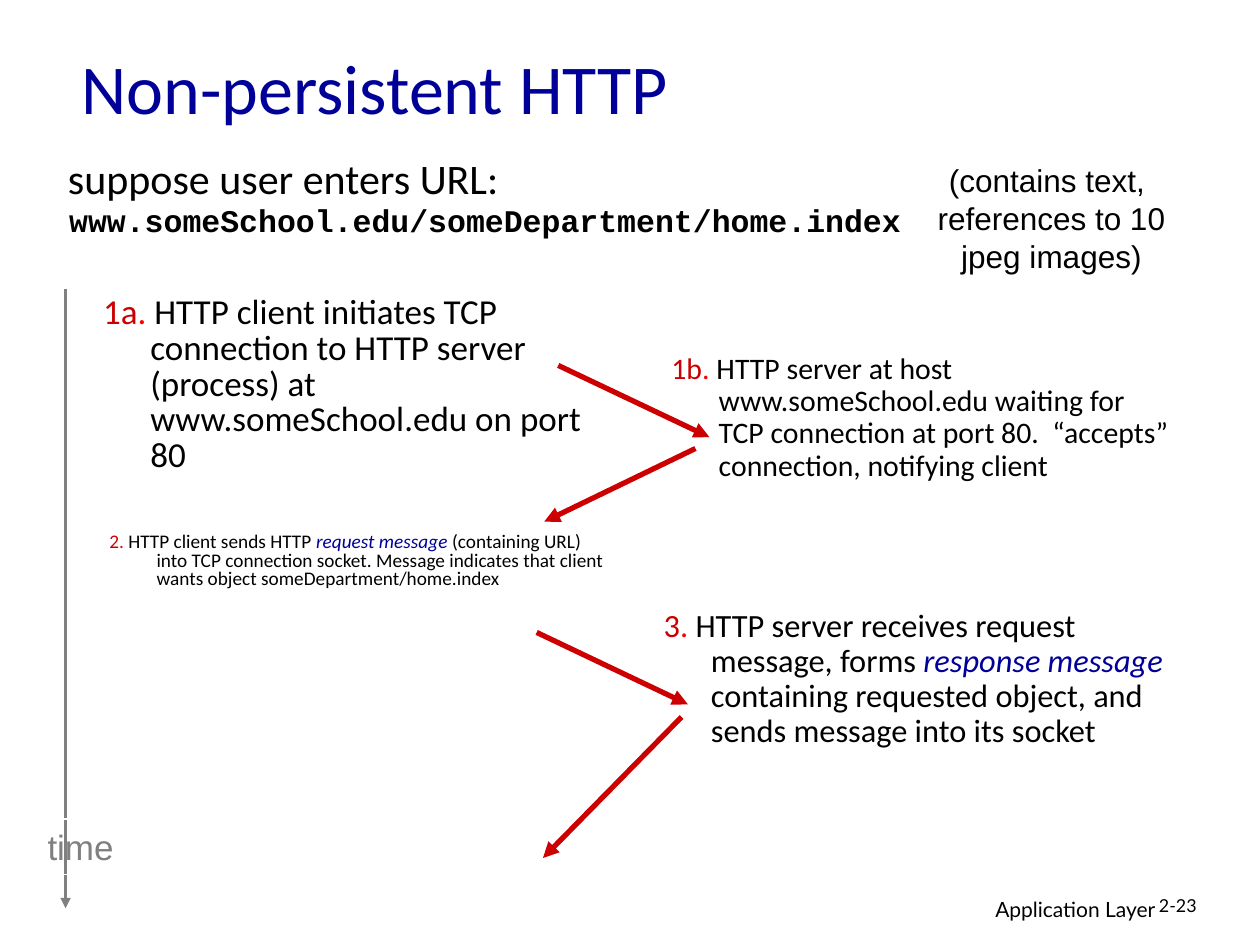
"""Build the slide on non-persistent HTTP, with its message timeline."""
from dataclasses import dataclass

from lxml import etree
from pptx import Presentation
from pptx import util as u
from pptx.dml.color import RGBColor
from pptx.enum import shapes, text
from pptx.oxml.ns import qn

HUES = {"ink": "000000", "blue": "000099", "red": "CC0000", "dot": "FF0000",
        "gray": "808080", "white": "FFFFFF"}
HANG = 27
LEFT, MID, RIGHT = text.PP_ALIGN.LEFT, text.PP_ALIGN.CENTER, text.PP_ALIGN.RIGHT


@dataclass
class Run:
    words: str
    hue: str = "ink"
    bold: bool = False
    slant: bool = False


@dataclass
class Block:
    box: tuple[float, float, float, float]
    paras: list[list[Run]]
    size: float
    font: str = "Calibri"
    align: text.PP_ALIGN = LEFT
    space: float = 1.0
    before: float = 0
    hang: bool = False
    wrap: bool = True
    middle: bool = False
    edge: str = ""


@dataclass
class Arrow:
    start: tuple[float, float]
    end: tuple[float, float]
    hue: str = "red"
    width: float = 3


def color(name: str) -> RGBColor:
    return RGBColor.from_string(HUES[name])


def step(label: str, *rest: Run) -> list[list[Run]]:
    return [[Run(label, "red"), Run(".", "dot"), *rest]]


def draw_block(slide, block: Block) -> None:
    box = [u.Pt(n) for n in block.box]
    if block.edge:
        shape = slide.shapes.add_shape(shapes.MSO_SHAPE.RECTANGLE, *box)
        shape.shadow.inherit = False
        shape.fill.background()
        shape.line.color.rgb = color(block.edge)
        shape.line.width = u.Pt(0.75)
    else:
        shape = slide.shapes.add_textbox(*box)
    frame = shape.text_frame
    frame.word_wrap = block.wrap
    frame.vertical_anchor = (text.MSO_ANCHOR.MIDDLE if block.middle
                             else text.MSO_ANCHOR.TOP)
    for i, runs in enumerate(block.paras):
        para = frame.add_paragraph() if i else frame.paragraphs[0]
        para.alignment = block.align
        para.line_spacing = block.space
        para.space_before = u.Pt(block.before)
        if block.hang:
            props = para._p.get_or_add_pPr()
            props.set("marL", str(u.Pt(HANG)))
            props.set("indent", str(-u.Pt(HANG)))
        for item in runs:
            run = para.add_run()
            run.text = item.words
            font = run.font
            font.name, font.size = block.font, u.Pt(block.size)
            font.bold, font.italic = item.bold, item.slant
            font.color.rgb = color(item.hue)


def draw_arrow(slide, arrow: Arrow) -> None:
    ends = [u.Pt(n) for n in (*arrow.start, *arrow.end)]
    line = slide.shapes.add_connector(shapes.MSO_CONNECTOR.STRAIGHT, *ends)
    line.line.color.rgb = color(arrow.hue)
    line.line.width = u.Pt(arrow.width)
    tail = etree.SubElement(line.line._get_or_add_ln(), qn("a:tailEnd"))
    tail.set("type", "triangle")
    etree.SubElement(line._element.spPr, qn("a:effectLst"))


AXIS = Arrow((37.5, 165), (37.5, 519), "gray", 1.5)
BLOCKS = [
    Block((439.2, 509, 228.2, 22.3), [[Run("Application Layer")]], 12, "Lato", RIGHT),
    Block((655.2, 509, 53.3, 21.6), [[Run("2-23")]], 10.2, "Lato", space=0.9),
    Block((39.6, 15.1, 612, 68.4), [[Run("Non-persistent HTTP", "blue")]], 40,
          middle=True),
    Block((31.7, 87.8, 625.7, 36.7), [[Run("suppose user enters URL:")]], 24,
          space=0.85, before=6, hang=True),
    Block((51.8, 165.6, 310.3, 149.8), step("1a", Run(
        " HTTP client initiates TCP connection to HTTP server (process) at "
        "www.someSchool.edu on port 80")), 20, space=0.85, before=5, hang=True),
    Block((55.4, 301.7, 300.2, 85), step(
        "2", Run(" HTTP client sends HTTP "),
        Run("request message", "blue", slant=True),
        Run(" (containing URL) into TCP connection socket. Message indicates "
            "that client wants object someDepartment/home.index")),
        11, space=0.8, before=5, hang=True),
    Block((376.6, 198.7, 300.2, 118.8), step("1b", Run(
        " HTTP server at host www.someSchool.edu waiting for TCP connection "
        "at port 80.  “accepts” connection, notifying client")),
        17, space=0.9, before=5, hang=True),
    Block((372.2, 344.9, 300.2, 141.8), step(
        "3", Run(" HTTP server receives request message, forms "),
        Run("response message", "blue", slant=True),
        Run(" containing requested object, and sends message into its socket")),
        18.5, space=0.9, before=5, hang=True),
    Block((20.2, 468, 51.8, 31.7), [[Run("time", "gray")]], 20, "Arial", MID,
          wrap=False, edge="white"),
    Block((526.3, 88.6, 149, 72),
          [[Run(row)] for row in ("(contains text, ", "references to 10 ",
                                  "jpeg images)")],
          18, "Arial", MID, wrap=False),
    Block((32.4, 114.5, 625.7, 36.7),
          [[Run("www.someSchool.edu/someDepartment/home.index", bold=True)]],
          18, "Courier New", space=0.85, before=4.5, hang=True),
]
ARROWS = [
    Arrow((319, 208.8), (405.4, 249.8)),
    Arrow((397.4, 256.3), (311, 298.1)),
    Arrow((306.7, 361.4), (393.1, 402.5)),
    Arrow((389.5, 409.7), (310.3, 490.3)),
]


def main() -> None:
    deck = Presentation()
    deck.slide_width, deck.slide_height = u.Pt(720), u.Pt(540)
    slide = deck.slides.add_slide(deck.slide_layouts[6])
    draw_arrow(slide, AXIS)
    for block in BLOCKS:
        draw_block(slide, block)
    for arrow in ARROWS:
        draw_arrow(slide, arrow)
    deck.save("out.pptx")


if __name__ == "__main__":
    main()
